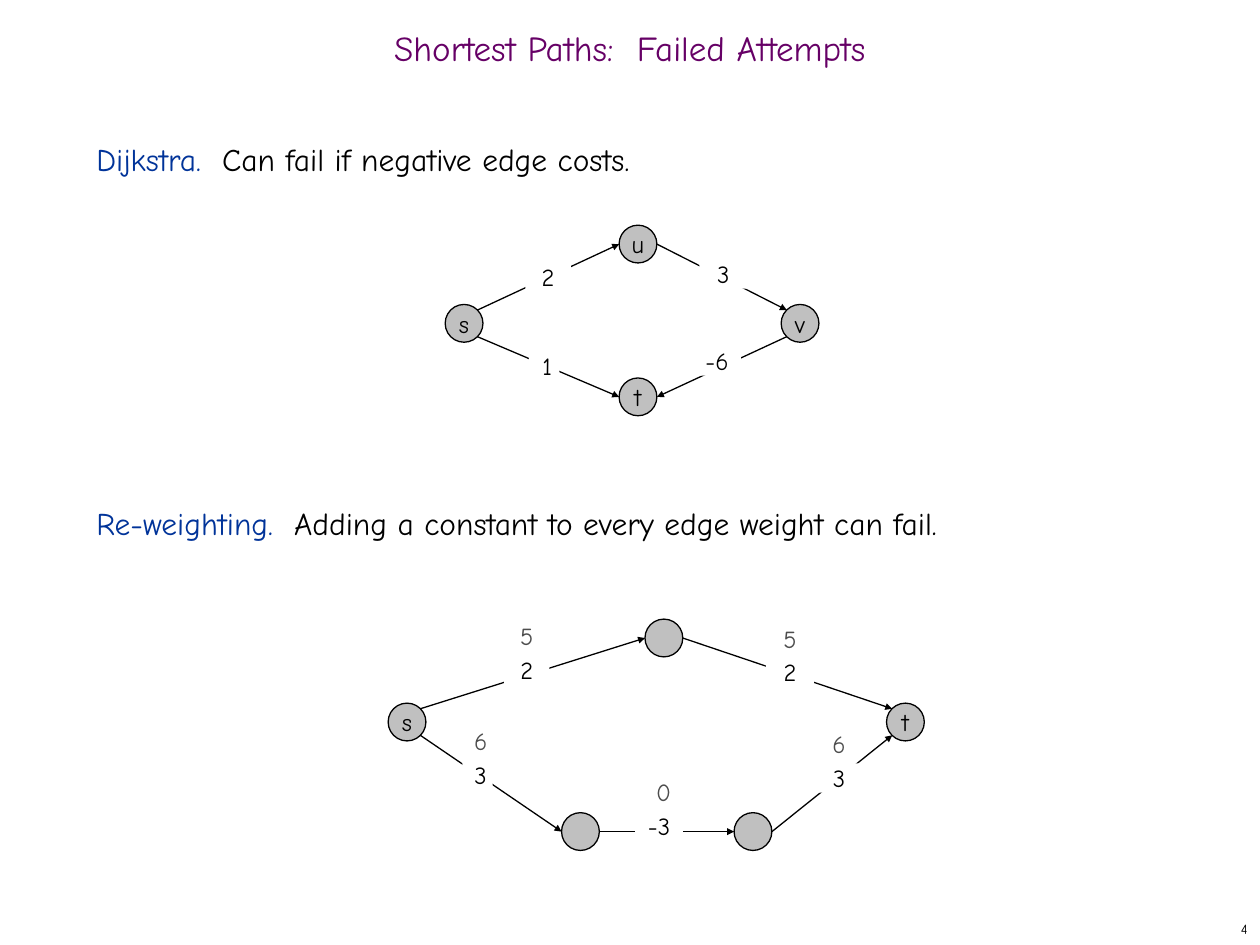
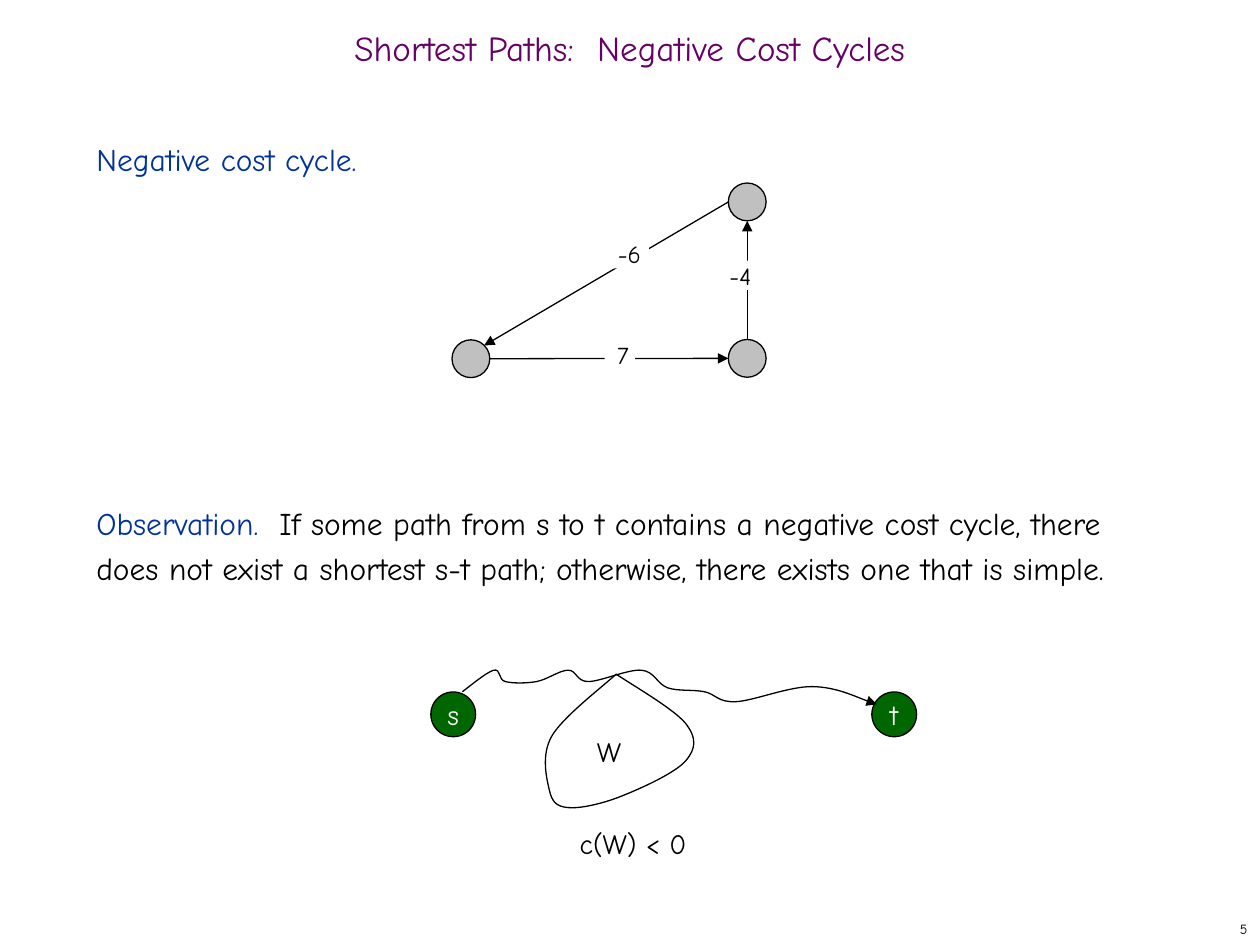
from lxml import etree
from pptx import Presentation
from pptx.dml.color import RGBColor
from pptx.enum.shapes import MSO_CONNECTOR, MSO_SHAPE
from pptx.enum.text import MSO_ANCHOR, MSO_AUTO_SIZE, PP_ALIGN
from pptx.oxml.ns import qn
from pptx.util import Pt

STRAIGHT, OVAL, RECT = MSO_CONNECTOR.STRAIGHT, MSO_SHAPE.OVAL, MSO_SHAPE.RECTANGLE
TOP, MIDDLE = MSO_ANCHOR.TOP, MSO_ANCHOR.MIDDLE
LEFT, CENTER, RIGHT = PP_ALIGN.LEFT, PP_ALIGN.CENTER, PP_ALIGN.RIGHT

# Shared look
FONT = "Comic Neue"
BLACK, WHITE = "000000", "FFFFFF"
PURPLE, BLUE, GREEN = "660066", "003399", "006600"
NODE_GRAY, WEIGHT_GRAY = "C0C0C0", "4D4D4D"
LINE_WIDTH = 0.75
NODE_SIZE, TERMINAL_SIZE = 21.6, 25.6
LABEL_HEIGHT, LABEL_INDENT = 16.8, 3.6
NEW_WEIGHT_RISE, MINUS_SHIFT = 19.4, 2.6
BODY_LINE = 26
SECTION_GAP = 7 * BODY_LINE

# Points on a node's rim, as fractions of its radius
RIM = {"N": (0, -1), "E": (1, 0), "S": (0, 1), "W": (-1, 0),
       "NE": (0.7, -0.7), "SE": (0.7, 0.7), "SW": (-0.7, 0.7), "NW": (-0.7, -0.7)}


def color(hex_code):
    return RGBColor.from_string(hex_code)


def add_run(paragraph, text, size, hex_code):
    run = paragraph.add_run()
    run.text = text
    run.font.name = FONT
    run.font.size = Pt(size)
    run.font.color.rgb = color(hex_code)


def set_frame(frame, anchor=MIDDLE, wrap=True, margins=(7.2, 3.6, 7.2, 3.6)):
    frame.auto_size = MSO_AUTO_SIZE.NONE
    frame.word_wrap = wrap
    frame.vertical_anchor = anchor
    (frame.margin_left, frame.margin_top,
     frame.margin_right, frame.margin_bottom) = map(Pt, margins)


def centered(x, y, width, height):
    return [Pt(v) for v in (x - width / 2, y - height / 2, width, height)]


def add_text(slide, text, x, y, width, height, size, hex_code=BLACK, align=CENTER):
    """Text box centred on (x, y)."""
    frame = slide.shapes.add_textbox(*centered(x, y, width, height)).text_frame
    set_frame(frame)
    frame.paragraphs[0].alignment = align
    add_run(frame.paragraphs[0], text, size, hex_code)


def add_slide(prs, title_text, sections, number):
    """Slide with title, two sections of (lead, statement) and page number."""
    slide = prs.slides.add_slide(prs.slide_layouts[5])
    title = slide.shapes.title
    title.left, title.top, title.width, title.height = Pt(0), Pt(12), Pt(720), Pt(36)
    set_frame(title.text_frame)
    heading = title.text_frame.paragraphs[0]
    heading.alignment = CENTER
    heading.line_spacing = 0.7
    add_run(heading, title_text, 20, PURPLE)

    body = slide.shapes.add_textbox(Pt(48), Pt(72), Pt(618), Pt(426)).text_frame
    set_frame(body, TOP)
    for index, (lead, statement) in enumerate(sections):
        paragraph = body.add_paragraph() if index else body.paragraphs[0]
        paragraph.alignment = LEFT
        paragraph.line_spacing = Pt(BODY_LINE)
        if index:
            paragraph.space_before = Pt(SECTION_GAP)
        add_run(paragraph, lead, 18, BLUE)
        if statement:
            add_run(paragraph, statement, 18, BLACK)

    add_text(slide, str(number), 645, 531, 150, 18, 8, align=RIGHT)
    return slide


def style_line(line):
    line.color.rgb = color(BLACK)
    line.width = Pt(LINE_WIDTH)


def add_arrowhead(shape, size):
    line = shape.line._get_or_add_ln()
    etree.SubElement(line, qn("a:tailEnd"), type="triangle", w=size, len=size)


def add_node(slide, x, y, name="", fill=NODE_GRAY, diameter=NODE_SIZE,
             size=14, text_color=BLACK):
    node = slide.shapes.add_shape(OVAL, *centered(x, y, diameter, diameter))
    node.shadow.inherit = False
    node.fill.solid()
    node.fill.fore_color.rgb = color(fill)
    style_line(node.line)
    if name:
        set_frame(node.text_frame, wrap=False)
        node.text_frame.paragraphs[0].alignment = CENTER
        add_run(node.text_frame.paragraphs[0], name, size, text_color)


def add_edge(slide, start, end, head):
    edge = slide.shapes.add_connector(STRAIGHT, *map(Pt, start + end))
    style_line(edge.line)
    add_arrowhead(edge, head)
    etree.SubElement(edge._element.spPr, qn("a:effectLst"))


def add_label(slide, text, x, y, width, indent=0):
    """Edge weight on a white patch that interrupts its edge."""
    label = slide.shapes.add_shape(RECT, *centered(x, y, width, LABEL_HEIGHT))
    label.shadow.inherit = False
    label.fill.solid()
    label.fill.fore_color.rgb = color(WHITE)
    label.line.fill.background()
    set_frame(label.text_frame, TOP, margins=(indent, 0, 0, 0))
    label.text_frame.paragraphs[0].alignment = CENTER
    add_run(label.text_frame.paragraphs[0], text, 14, BLACK)


def add_graph(slide, nodes, edges, labels, head):
    """nodes: key -> (x, y, name); edges: (from, rim, to, rim)."""
    def rim_point(key, side):
        x, y, _ = nodes[key]
        dx, dy = RIM[side]
        return x + dx * NODE_SIZE / 2, y + dy * NODE_SIZE / 2

    for x, y, name in nodes.values():
        add_node(slide, x, y, name)
    for source, out_side, target, in_side in edges:
        add_edge(slide, rim_point(source, out_side), rim_point(target, in_side), head)
    for label in labels:
        add_label(slide, *label)


def add_new_weight(slide, weight, label):
    """Re-weighted cost, right above the digit of the first cost."""
    text, x, y, _, *indent = label
    x += sum(indent) / 2 + (MINUS_SHIFT if text.startswith("-") else 0)
    add_text(slide, weight, x, y - NEW_WEIGHT_RISE, 23, 24, 14, WEIGHT_GRAY)


def add_curve(slide, knots):
    """Smooth curve with an arrowhead, through all the knots."""
    padded = [knots[0], *knots, knots[-1]]
    points = []
    for before, start, end, after in zip(padded, padded[1:], padded[2:], padded[3:]):
        points.append([s + (e - b) / 6 for b, s, e in zip(before, start, end)])
        points.append([e - (a - s) / 6 for s, e, a in zip(start, end, after)])
        points.append(end)
    builder = slide.shapes.build_freeform(*map(Pt, knots[0]))
    builder.add_line_segments([tuple(map(Pt, p)) for p in points], close=False)
    curve = builder.convert_to_shape()
    curve.shadow.inherit = False
    curve.fill.background()
    style_line(curve.line)
    add_arrowhead(curve, "med")

    # Every three line points become one cubic segment
    outline = next(curve._element.iter(qn("a:path")))
    segments = outline.findall(qn("a:lnTo"))
    for i in range(0, len(segments), 3):
        cubic = etree.SubElement(outline, qn("a:cubicBezTo"))
        for segment in segments[i:i + 3]:
            cubic.append(segment[0])
            outline.remove(segment)


def build_failed_attempts(prs):
    slide = add_slide(prs, "Shortest Paths:  Failed Attempts", [
        ("Dijkstra.  ", "Can fail if negative edge costs."),
        ("Re-weighting.  ", "Adding a constant to every edge weight can fail."),
    ], 4)

    # Dijkstra's counterexample
    add_graph(
        slide,
        {"s": (265.2, 184.8, "s"), "u": (364.6, 139.5, "u"),
         "v": (457.2, 184.8, "v"), "t": (364.6, 226.8, "t")},
        [("s", "NE", "u", "W"), ("s", "SE", "t", "W"),
         ("u", "E", "v", "NW"), ("v", "SW", "t", "E")],
        [("2", 313.2, 158, 26), ("1", 311, 209.2, 17.4, LABEL_INDENT),
         ("3", 413.3, 156.6, 27.4), ("-6", 409.7, 206.3, 27.4)], "sm")

    # Re-weighting counterexample
    labels = [("2", 301, 382.7, 26), ("3", 272.9, 442.4, 17.4, LABEL_INDENT),
              ("2", 451.4, 384.1, 27.4), ("-3", 376.6, 472, 27.4),
              ("3", 479.5, 444.6, 27.4)]
    add_graph(
        slide,
        {"s": (232.6, 412.6, "s"), "upper": (379.4, 364.6, ""),
         "lower 1": (331.7, 475.2, ""), "lower 2": (430.3, 475.2, ""),
         "t": (517.4, 412.6, "t")},
        [("s", "NE", "upper", "W"), ("upper", "E", "t", "NW"),
         ("s", "SE", "lower 1", "W"), ("lower 1", "E", "lower 2", "W"),
         ("lower 2", "E", "t", "SW")],
        labels, "sm")
    for weight, label in zip("56506", labels):
        add_new_weight(slide, weight, label)


def build_negative_cycles(prs):
    slide = add_slide(prs, "Shortest Paths:  Negative Cost Cycles", [
        ("Negative cost cycle.", ""),
        ("Observation.  ", "If some path from s to t contains a negative cost cycle, "
         "there does not exist a shortest s-t path; otherwise, there exists one "
         "that is simple."),
    ], 5)

    # Cycle of negative total cost
    add_graph(
        slide,
        {"top": (427, 115.4, ""), "right": (427, 204.8, ""), "left": (269.1, 205, "")},
        [("right", "N", "top", "S"), ("left", "E", "right", "W"),
         ("top", "W", "left", "NE")],
        [("-6", 357.9, 145, 26, LABEL_INDENT), ("7", 354.2, 202.7, 17.4, LABEL_INDENT),
         ("-4", 421.2, 157.3, 27.4, LABEL_INDENT)], "med")

    # Path from s to t that meets the cycle W
    for name, x in (("s", 259), ("t", 511)):
        add_node(slide, x, 408.2, name, GREEN, TERMINAL_SIZE, 16, WHITE)
    add_curve(slide, [(264.2, 395.3), (282.2, 383), (288.7, 389.5), (306.7, 389.5),
                      (324.7, 383), (336.2, 389.5), (366.5, 383), (381.6, 393.1),
                      (402.5, 395.3), (420.5, 401), (464.4, 392.4), (501.1, 402.5)])
    add_curve(slide, [(352.1, 385.2), (315.4, 420.5), (313.9, 451.4), (324.7, 461.5),
                      (355, 455), (391.7, 434.9), (391.7, 413.3), (352.1, 385.2)])
    add_text(slide, "W", 348, 429.5, 40, 26.6, 16)
    add_text(slide, "c(W) < 0", 361.8, 482, 100, 26.6, 16)


def main():
    prs = Presentation()
    prs.slide_width, prs.slide_height = Pt(720), Pt(540)
    build_failed_attempts(prs)
    build_negative_cycles(prs)
    prs.save("out.pptx")


if __name__ == "__main__":
    main()
